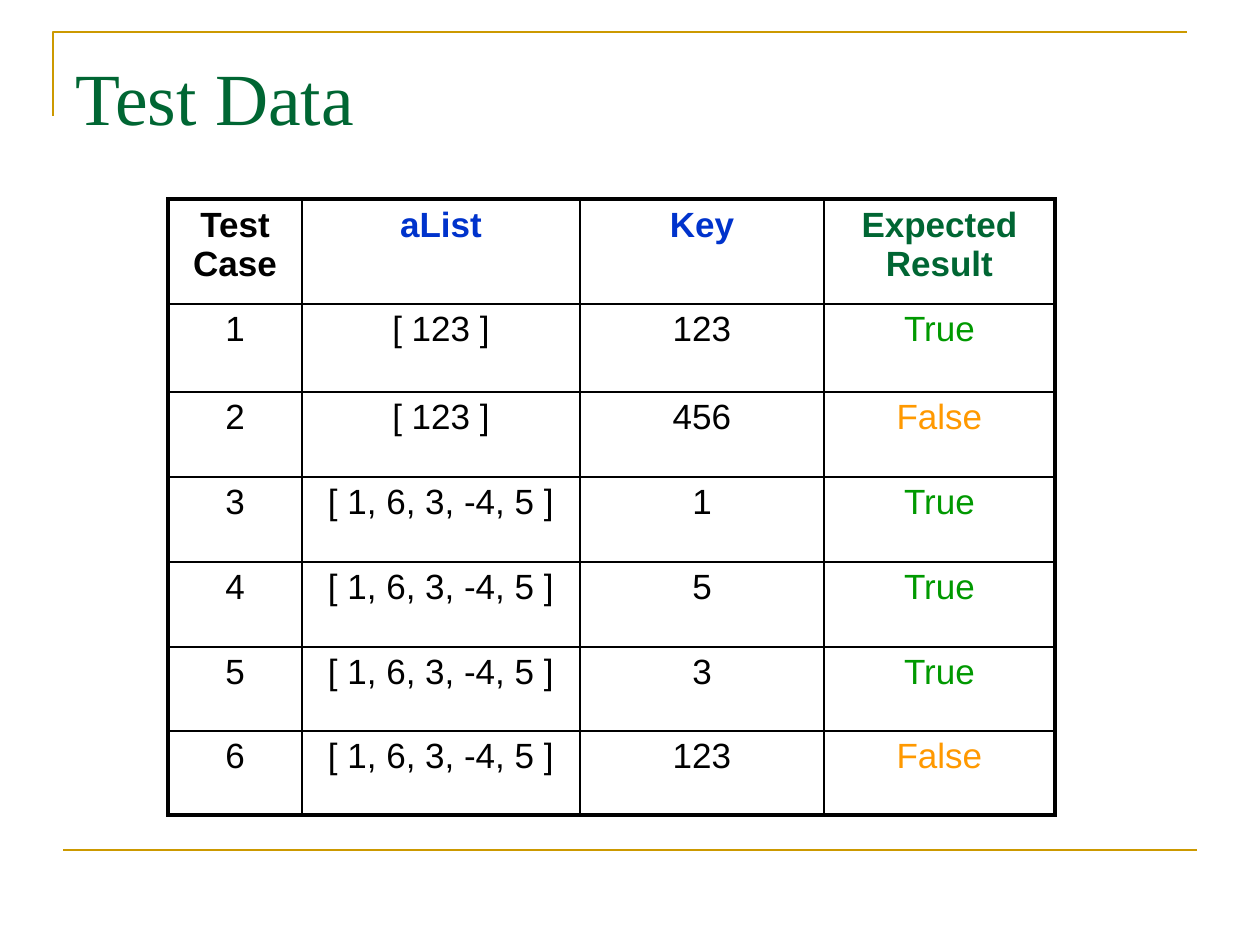
from lxml import etree
from pptx import Presentation
from pptx import util as u
from pptx.dml.color import RGBColor
from pptx.enum import shapes, text
from pptx.oxml.ns import qn

PX = 914400 / 126
COLORS = {
    "rule": "CC9900",
    "title": "006633",
    "text": "000000",
    "input": "0033CC",
    "true": "009900",
    "false": "FF9900",
}
COL_WIDTHS = [134, 278, 244, 231]
ROW_HEIGHTS = [105, 88] + [85] * 3 + [84] * 2
HEADERS = [("Test\vCase", "text"), ("aList", "input"), ("Key", "input"),
           ("Expected Result", "title")]
LONG_LIST = "[ 1, 6, 3, -4, 5 ]"
CASES = [
    ("[ 123 ]", 123, True),
    ("[ 123 ]", 456, False),
    (LONG_LIST, 1, True),
    (LONG_LIST, 5, True),
    (LONG_LIST, 3, True),
    (LONG_LIST, 123, False),
]


def px(n):
    return u.Emu(round(n * PX))


def rgb(name):
    return RGBColor.from_string(COLORS[name])


def style_line(sp):
    sp.line.color.rgb = rgb("rule")
    sp.line.width = u.Pt(1.5)


def style_runs(tf, font, size, color, bold=False):
    for p in tf.paragraphs:
        for r in p.runs:
            r.font.name = font
            r.font.size = u.Pt(size)
            r.font.bold = bold
            r.font.color.rgb = rgb(color)


def add_corner_rule(slide, points):
    builder = slide.shapes.build_freeform(*map(px, points[0]))
    builder.add_line_segments([(px(x), px(y)) for x, y in points[1:]], close=False)
    sp = builder.convert_to_shape()
    sp.shadow.inherit = False
    sp.fill.background()
    style_line(sp)


def add_rule(slide, x1, x2, y):
    line = slide.shapes.add_connector(
        shapes.MSO_CONNECTOR.STRAIGHT, px(x1), px(y), px(x2), px(y))
    style_line(line)
    etree.SubElement(line._element.spPr, qn("a:effectLst"))


def add_title(slide, title):
    tf = slide.shapes.add_textbox(px(63), px(38), px(1134), px(158)).text_frame
    tf.word_wrap = True
    tf.margin_top = px(14)
    tf.text = title
    style_runs(tf, "Times New Roman", 42, "title")


def set_borders(cell, widths):
    """Draw the cell's sides; widths maps L, R, T and B to points."""
    tcPr = cell._tc.get_or_add_tcPr()
    for side, width in widths.items():
        ln = etree.SubElement(tcPr, qn(f"a:ln{side}"), w=str(u.Pt(width)))
        fill = etree.SubElement(ln, qn("a:solidFill"))
        etree.SubElement(fill, qn("a:srgbClr"), val=COLORS["text"])


def add_table(slide, rows):
    """Add a table of (text, colour) cells with a thick outer frame."""
    table = slide.shapes.add_table(
        len(rows), len(COL_WIDTHS), px(168), px(199),
        px(sum(COL_WIDTHS)), px(sum(ROW_HEIGHTS))).table
    table.first_row = table.horz_banding = False
    for col, width in zip(table.columns, COL_WIDTHS):
        col.width = px(width)
    for row, height in zip(table.rows, ROW_HEIGHTS):
        row.height = px(height)

    last_row, last_col = len(rows) - 1, len(COL_WIDTHS) - 1
    for i, row in enumerate(rows):
        for j, (value, color) in enumerate(row):
            cell = table.cell(i, j)
            outer = {"L": j == 0, "R": j == last_col,
                     "T": i == 0, "B": i == last_row}
            set_borders(cell, {s: 2.25 if edge else 1 for s, edge in outer.items()})
            cell.fill.background()
            tf = cell.text_frame
            tf.text = value
            tf.paragraphs[0].alignment = text.PP_ALIGN.CENTER
            style_runs(tf, "Arial", 20, color, bold=i == 0)


def main():
    prs = Presentation()
    prs.slide_width, prs.slide_height = px(1260), px(945)
    slide = prs.slides.add_slide(prs.slide_layouts[6])

    add_corner_rule(slide, [(53, 116), (53, 32), (1187, 32)])
    add_rule(slide, 63, 1197, 850)
    add_title(slide, "Test Data")
    rows = [HEADERS]
    for number, (a_list, key, found) in enumerate(CASES, 1):
        rows.append([(str(number), "text"), (a_list, "text"), (str(key), "text"),
                     (str(found), str(found).lower())])
    add_table(slide, rows)
    prs.save("out.pptx")


if __name__ == "__main__":
    main()
